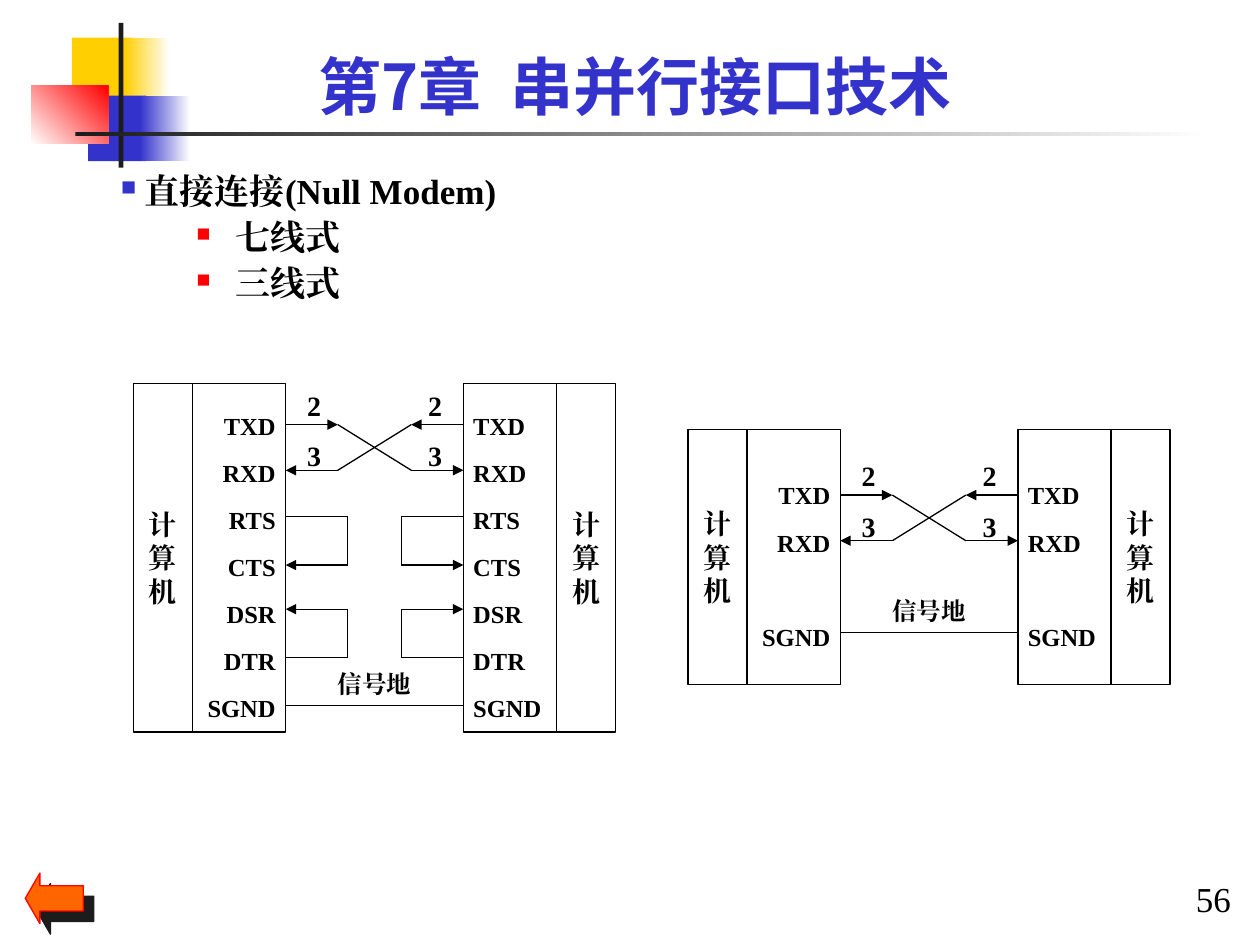
import dataclasses
import typing

import pptx
import pptx.dml.color
import pptx.enum.shapes
import pptx.enum.text
import pptx.oxml
import pptx.oxml.ns
import pptx.util

Cm = pptx.util.Cm
Pt = pptx.util.Pt
RGB = pptx.dml.color.RGBColor.from_string
SHAPE = pptx.enum.shapes.MSO_SHAPE
ALIGN = pptx.enum.text.PP_ALIGN
ANCHOR = pptx.enum.text.MSO_ANCHOR
NS = pptx.oxml.ns.nsdecls("a")


@dataclasses.dataclass(frozen=True)
class Theme:
    black: str = "000000"
    dark: str = "1C1C1C"
    blue: str = "3333CC"
    yellow: str = "FFCF01"
    red: str = "FF0000"
    white: str = "FFFFFF"
    orange: str = "FF6600"
    serif: str = "Times New Roman"
    cjk: str = "Noto Sans CJK SC"
    sub: str = "Karla"
    title: float = 36
    body: float = 20
    label: float = 16
    pin: float = 14
    rule: float = 0.75


T = Theme()


class Box(typing.NamedTuple):
    x: float
    y: float
    w: float
    h: float


class Block(typing.NamedTuple):
    box: Box
    start: str
    end: str = ""
    angle: float = 0


class Bullet(typing.NamedTuple):
    text: str
    font: str
    color: str
    percent: int
    margin: float
    hang: float


class Loop(typing.NamedTuple):
    plain_y: float
    arrow_y: float


@dataclasses.dataclass(frozen=True)
class Diagram:
    x: float
    top: float
    height: float
    txd: float
    ground: float
    pins: tuple[str, ...]
    ground_gap: float = 0
    loops: tuple[Loop, ...] = ()


DECOR = (
    Block(Box(1.45, 0.76, 1.22, 1.32), T.yellow),
    Block(Box(2.51, 0.76, 0.91, 1.32), T.yellow, T.white),
    Block(Box(1.78, 1.93, 1.17, 1.32), T.blue),
    Block(Box(2.82, 1.93, 1.02, 1.32), T.blue, T.white),
    Block(Box(0.63, 1.73, 1.55, 1.17), T.white, T.red, 45),
    Block(Box(2.39, 0.46, 0.1, 2.92), T.dark),
    Block(Box(1.52, 2.67, 22.86, 0.08), T.dark, T.white),
)
BULLETS = (
    Bullet("直接连接(Null Modem)", T.serif, T.blue, 60, 0.48, 0.48),
    Bullet("七线式", T.sub, T.red, 55, 2.31, 0.79),
    Bullet("三线式", T.sub, T.red, 55, 2.31, 0.79),
)
DIAGRAMS = (
    Diagram(2.69, 7.73, 7.03, 8.56, 14.22,
            ("TXD", "RXD", "RTS", "CTS", "DSR", "DTR", "SGND"),
            loops=(Loop(10.41, 11.39), Loop(13.26, 12.28))),
    Diagram(13.87, 8.66, 5.14, 9.98, 12.75, ("TXD", "RXD", "SGND"), ground_gap=27),
)
SPAN, PC_W, PIN_W = 9.72, 1.19, 1.88
EDGE, BEND, LOOP_X, DIGIT_X, CROSS_H = 3.07, 4.12, 4.32, 3.64, 0.92


def assign(obj: typing.Any, values: dict) -> None:
    for name, value in values.items():
        setattr(obj, name, value)


def add_shape(shapes, kind, box: Box, fill: str = "", line: str = ""):
    sp = shapes.add_shape(kind, *map(Cm, box))
    sp.shadow.inherit = False
    if fill:
        sp.fill.solid()
        sp.fill.fore_color.rgb = RGB(fill)
    else:
        sp.fill.background()
    if line:
        sp.line.color.rgb = RGB(line)
        sp.line.width = Pt(T.rule)
    else:
        sp.line.fill.background()
    return sp


def add_block(shapes, block: Block) -> None:
    sp = add_shape(shapes, SHAPE.RECTANGLE, block.box, block.start)
    if block.end:
        sp.fill.gradient()
        sp.fill.gradient_angle = block.angle
        for stop, color, position in zip(sp.fill.gradient_stops, (block.start, block.end), (0, 1)):
            stop.color.rgb = RGB(color)
            stop.position = position


def write(sp, lines: typing.Sequence[str], size: float, align=ALIGN.CENTER, font: str = T.serif,
          color: str = T.black, bold: bool = True, spacing: float = 1.0,
          insets: tuple = (0, 0, 0, 0), wrap: bool = True, anchor=ANCHOR.MIDDLE) -> list:
    tf = sp.text_frame
    sides = ("margin_left", "margin_top", "margin_right", "margin_bottom")
    assign(tf, {"word_wrap": wrap, "vertical_anchor": anchor, **dict(zip(sides, map(Cm, insets)))})
    paragraphs = []
    for i, text in enumerate(lines):
        p = tf.paragraphs[0] if i == 0 else tf.add_paragraph()
        assign(p, {"alignment": align, "line_spacing": spacing})
        r = p.add_run()
        r.text = text
        set_font(r, font, size, bold, color)
        paragraphs.append(p)
    return paragraphs


def set_font(r, font: str, size: float, bold: bool, color: str) -> None:
    assign(r.font, {"name": font, "size": Pt(size), "bold": bold})
    r.font.color.rgb = RGB(color)
    r.font._element.append(pptx.oxml.parse_xml(f'<a:ea {NS} typeface="{font}"/>'))


def add_text(shapes, box: Box, lines: typing.Sequence[str], size: float, **fmt) -> list:
    return write(shapes.add_textbox(*map(Cm, box)), lines, size, **fmt)


def add_line(shapes, start: tuple, end: tuple, arrow: bool = False) -> None:
    cx = shapes.add_connector(pptx.enum.shapes.MSO_CONNECTOR.STRAIGHT, *map(Cm, start + end))
    cx.line.color.rgb = RGB(T.black)
    cx.line.width = Pt(T.rule)
    if arrow:
        cx.line._get_or_add_ln().append(pptx.oxml.parse_xml(f'<a:tailEnd {NS} type="triangle"/>'))
    cx._element.spPr.append(pptx.oxml.parse_xml(f"<a:effectLst {NS}/>"))


def add_bullets(shapes) -> None:
    paragraphs = add_text(shapes, Box(2.44, 3.33, 20.35, 3.05), [b.text for b in BULLETS], T.body,
                          align=ALIGN.LEFT, spacing=1.1, anchor=ANCHOR.TOP)
    for p, b in zip(paragraphs, BULLETS):
        pPr = p._p.get_or_add_pPr()
        pPr.set("marL", str(Cm(b.margin)))
        pPr.set("indent", str(-Cm(b.hang)))
        for xml in (f'<a:buClr {NS}><a:srgbClr val="{b.color}"/></a:buClr>',
                    f'<a:buSzPct {NS} val="{b.percent * 1000}"/>',
                    f'<a:buChar {NS} char="■"/>'):
            pPr.append(pptx.oxml.parse_xml(xml))
        p.runs[0].font.name = b.font


def add_diagram(shapes, d: Diagram) -> None:
    g = shapes.add_group_shape().shapes
    rxd = d.txd + CROSS_H
    for mirrored in (False, True):
        def at(x: float, width: float = 0) -> float:
            return d.x + (SPAN - x - width if mirrored else x)

        pc = add_shape(g, SHAPE.RECTANGLE, Box(at(0, PC_W), d.top, PC_W, d.height), line=T.black)
        write(pc, ["计算机"], T.label, insets=(0.25, 0.13, 0.25, 0.13))
        port = add_shape(g, SHAPE.RECTANGLE, Box(at(PC_W, PIN_W), d.top, PIN_W, d.height), line=T.black)
        pins = write(port, d.pins, T.pin, align=ALIGN.LEFT if mirrored else ALIGN.RIGHT,
                     spacing=1.6, insets=(0.2, 0, 0, 0) if mirrored else (0, 0, 0.2, 0))
        pins[-1].space_before = Pt(d.ground_gap)
        add_text(g, Box(at(DIGIT_X - 0.14, 0.28), d.txd - 1.07, 0.28, 2.03), "23", T.label,
                 spacing=1.5, wrap=False)
        add_line(g, (at(EDGE), d.txd), (at(BEND), d.txd), arrow=True)
        add_line(g, (at(BEND), d.txd), (at(SPAN - BEND), rxd))
        add_line(g, (at(BEND), rxd), (at(EDGE), rxd), arrow=True)
        for loop in d.loops:
            add_line(g, (at(EDGE), loop.plain_y), (at(LOOP_X), loop.plain_y))
            add_line(g, (at(LOOP_X), loop.plain_y), (at(LOOP_X), loop.arrow_y))
            add_line(g, (at(LOOP_X), loop.arrow_y), (at(EDGE), loop.arrow_y), arrow=True)
    add_text(g, Box(d.x + SPAN / 2 - 0.89, d.ground - 0.72, 1.78, 0.58), ["信号地"], T.pin, wrap=False)
    add_line(g, (d.x + EDGE, d.ground), (d.x + SPAN - EDGE, d.ground))


def add_back_arrow(shapes) -> None:
    sp = add_shape(shapes, SHAPE.LEFT_ARROW, Box(0.51, 17.6, 1.17, 1.02), T.orange, T.red)
    sp.adjustments[0], sp.adjustments[1] = 0.5, 0.29
    sp._element.spPr.find(pptx.oxml.ns.qn("a:effectLst")).append(pptx.oxml.parse_xml(
        f'<a:outerShdw {NS} dist="{Pt(8.5)}" dir="2700000" algn="ctr" rotWithShape="0">'
        f'<a:srgbClr val="{T.dark}"/></a:outerShdw>'))


def main() -> None:
    prs = pptx.Presentation()
    assign(prs, {"slide_width": Cm(25.4), "slide_height": Cm(19.05)})
    shapes = prs.slides.add_slide(prs.slide_layouts[6]).shapes
    for block in DECOR:
        add_block(shapes, block)
    add_text(shapes, Box(23.95, 17.68, 1.02, 0.86), ["56"], T.body, bold=False, wrap=False)
    add_back_arrow(shapes)
    add_bullets(shapes)
    add_text(shapes, Box(3.51, 0.97, 18.59, 1.52), ["第7章  串并行接口技术"], T.title,
             font=T.cjk, color=T.blue)
    for diagram in DIAGRAMS:
        add_diagram(shapes, diagram)
    prs.save("out.pptx")


if __name__ == "__main__":
    main()
